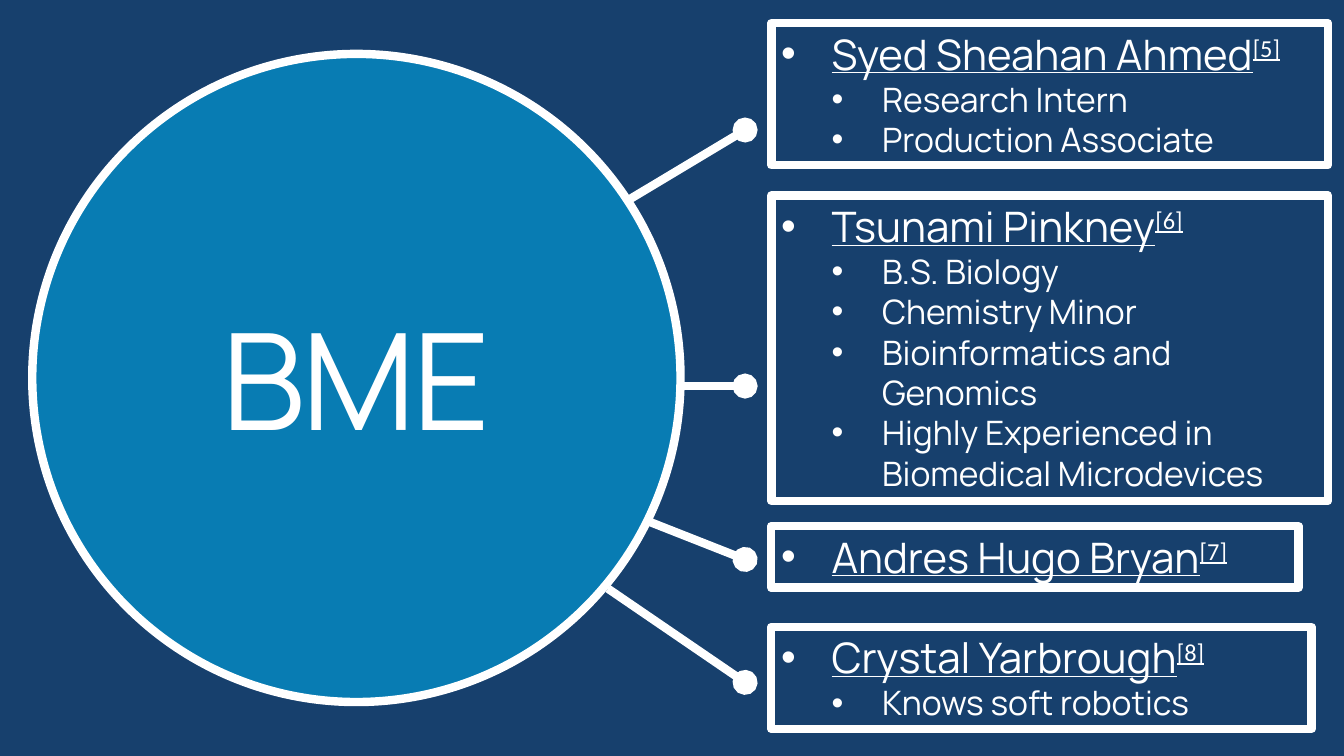
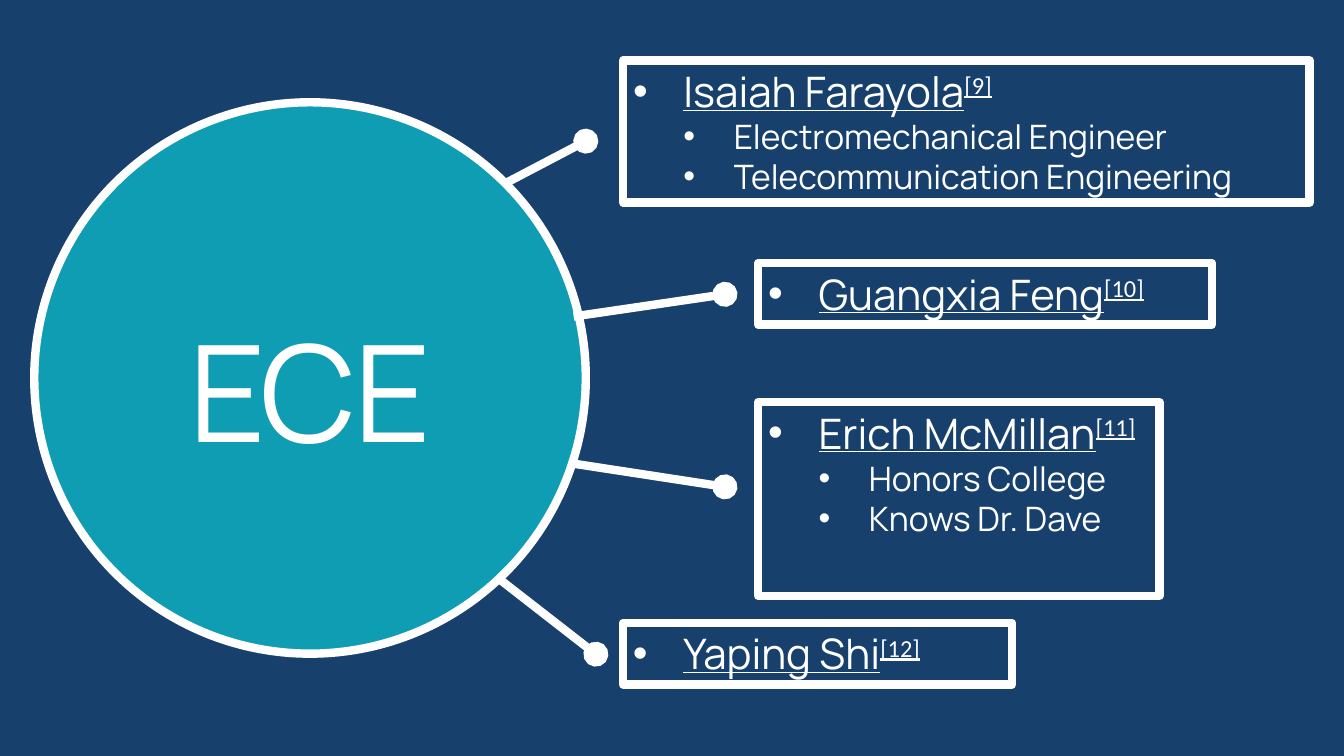
import pptx
import pptx.util
import pptx.dml.color
import pptx.enum.shapes
import pptx.enum.text
import pptx.oxml
import pptx.oxml.ns
from lxml import etree

Inches, Pt = pptx.util.Inches, pptx.util.Pt
RGBColor = pptx.dml.color.RGBColor
SHAPE = pptx.enum.shapes.MSO_SHAPE
qn = pptx.oxml.ns.qn

NAVY = RGBColor(0x17, 0x40, 0x6D)
BLUE = RGBColor(0x00, 0x9D, 0xD9)
TURQUOISE = RGBColor(0x0B, 0xD0, 0xD9)
WHITE = RGBColor(0xFF, 0xFF, 0xFF)
FONT, CITE_FONT = "Manrope", "Calibri"
LINE_WIDTH = 6
CIRCLE_ALPHA = 65
MIDDLE_Y = 3.75  # both circles are centred on the slide's height

# Content: circle as (left, diameter), people as (name, citation, details, box),
# spokes as (start x, start y, end x, end y); lengths in inches
DEPARTMENTS = [
    {
        "title": "BME", "title_top": 2.89, "color": BLUE, "circle": (0.32, 6.43),
        "people": [
            ("Syed Sheahan Ahmed", "[5]", ["Research Intern", "Production Associate"],
             (7.65, 0.23, 5.52, 1.41)),
            ("Tsunami Pinkney", "[6]",
             ["B.S. Biology", "Chemistry Minor", "Bioinformatics and Genomics",
              "Highly Experienced in Biomedical Microdevices"],
             (7.65, 1.94, 5.52, 3.03)),
            ("Andres Hugo Bryan", "[7]", [], (7.65, 5.22, 5.23, 0.61)),
            ("Crystal Yarbrough", "[8]", ["Knows soft robotics"],
             (7.65, 6.22, 5.36, 1.01)),
        ],
        "spokes": [(6.24, 1.98, 7.39, 1.29), (6.75, 3.83, 7.39, 3.83),
                   (6.45, 5.18, 7.39, 5.55), (6.03, 5.84, 7.39, 6.77)],
    },
    {
        "title": "ECE", "title_top": 3.01, "color": TURQUOISE, "circle": (0.34, 5.47),
        "people": [
            ("Isaiah Farayola", "[9]",
             ["Electromechanical Engineer", "Telecommunication Engineering"],
             (6.18, 0.6, 6.81, 1.41)),
            ("Guangxia Feng", "[10]", [], (7.52, 2.61, 4.5, 0.61)),
            ("Erich McMillan", "[11]", ["Honors College", "Knows Dr. Dave"],
             (7.52, 3.99, 3.98, 1.92)),
            ("Yaping Shi", "[12]", [], (6.18, 6.18, 3.86, 0.61)),
        ],
        "spokes": [(5.01, 1.82, 5.81, 1.4), (5.69, 3.14, 7.19, 2.92),
                   (5.69, 4.6, 7.19, 4.83), (4.92, 5.72, 5.91, 6.49)],
    },
]


def outline(sp):
    """White heavy line shared by circles, boxes and spokes."""
    sp.line.color.rgb = WHITE
    sp.line.width = Pt(LINE_WIDTH)
    return sp.line._get_or_add_ln()


def add_run(p, text, size, font=FONT, underline=False):
    r = p.add_run()
    r.text = text
    r.font.size = Pt(size)
    r.font.name = font
    r.font.color.rgb = WHITE
    r.font.underline = underline
    return r


def add_bullet(p, level):
    p.level = level
    p.alignment = pptx.enum.text.PP_ALIGN.LEFT
    pPr = p._p.get_or_add_pPr()
    pPr.set("marL", str(Inches(0.5 * (level + 1))))
    pPr.set("indent", str(Inches(-0.5)))
    etree.SubElement(pPr, qn("a:buFont")).set("typeface", "Arial")
    etree.SubElement(pPr, qn("a:buChar")).set("char", "•")


def add_circle(s, left, diameter, color):
    sp = s.shapes.add_shape(SHAPE.OVAL, Inches(left), Inches(MIDDLE_Y - diameter / 2),
                            Inches(diameter), Inches(diameter))
    sp.shadow.inherit = False
    sp.fill.solid()
    sp.fill.fore_color.rgb = color
    clr = sp._element.spPr.find(qn("a:solidFill"))[0]
    etree.SubElement(clr, qn("a:alpha")).set("val", str(CIRCLE_ALPHA * 1000))
    outline(sp)


def add_title(s, text, left, top, width):
    tb = s.shapes.add_textbox(Inches(left), Inches(top), Inches(width), Inches(1.72))
    tf = tb.text_frame
    tf.word_wrap = True
    p = tf.paragraphs[0]
    p.alignment = pptx.enum.text.PP_ALIGN.CENTER
    add_run(p, text, 96)._r.get_or_add_rPr().set("spc", "-150")


def add_person(s, name, citation, details, box):
    sp = s.shapes.add_shape(SHAPE.RECTANGLE, *map(Inches, box))
    sp.shadow.inherit = False
    sp.fill.background()
    etree.SubElement(outline(sp), qn("a:round"))
    tf = sp.text_frame
    tf.word_wrap = True
    tf.vertical_anchor = pptx.enum.text.MSO_ANCHOR.TOP
    p = tf.paragraphs[0]
    add_bullet(p, 0)
    add_run(p, name, 30, underline=True)
    cite = add_run(p, citation, 30, CITE_FONT, underline=True)
    cite._r.get_or_add_rPr().set("baseline", "30000")
    for detail in details:
        p = tf.add_paragraph()
        add_bullet(p, 1)
        add_run(p, detail, 24)


def add_spoke(s, ends):
    c = s.shapes.add_connector(pptx.enum.shapes.MSO_CONNECTOR.STRAIGHT,
                               *map(Inches, ends))
    etree.SubElement(outline(c), qn("a:tailEnd")).set("type", "oval")
    etree.SubElement(c._element.spPr, qn("a:effectLst"))


def main():
    prs = pptx.Presentation()
    prs.slide_width, prs.slide_height = Inches(13.33), Inches(7.5)
    bg = prs.slide_master.background.fill
    bg.solid()
    bg.fore_color.rgb = NAVY

    for dept in DEPARTMENTS:
        s = prs.slides.add_slide(prs.slide_layouts[6])
        left, diameter = dept["circle"]
        add_circle(s, left, diameter, dept["color"])
        add_title(s, dept["title"], left, dept["title_top"], diameter)
        for person in dept["people"]:
            add_person(s, *person)
        for ends in dept["spokes"]:
            add_spoke(s, ends)

    prs.save("out.pptx")


if __name__ == "__main__":
    main()
